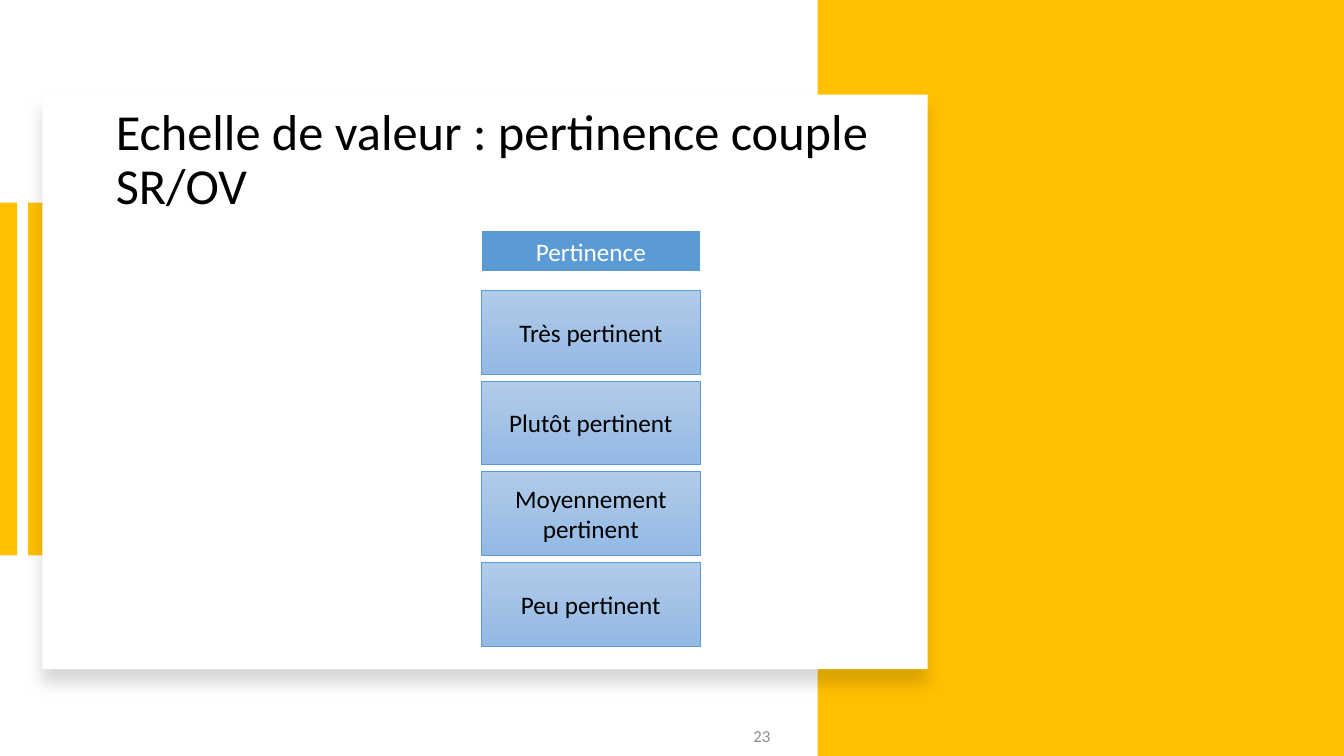
from dataclasses import dataclass

from lxml import etree
from pptx import Presentation
from pptx import util as u
from pptx.dml.color import RGBColor
from pptx.enum import shapes, text
from pptx.oxml import ns

# Content
TITLE = "Echelle de valeur : pertinence couple SR/OV"
HEADING = "Pertinence"
LEVELS = ["Très pertinent", "Plutôt pertinent", "Moyennement pertinent", "Peu pertinent"]
PAGE = "23"


@dataclass(frozen=True)
class Theme:
    font: str = "Calibri"
    title_size: int = 36
    body_size: int = 18
    page_size: int = 12
    accent: str = "FFC000"
    white: str = "FFFFFF"
    black: str = "000000"
    grey: str = "8C8C8C"
    blue: str = "5B9BD5"
    level_top: str = "B1CBE9"
    level_bottom: str = "93B9E4"


THEME = Theme()

# Layout in inches
WIDTH, HEIGHT = 13.33, 7.5
PANEL_W = 5.22
BAR_W, BAR_H, BAR_TOP, BAR_STEP = 0.17, 3.5, 2.01, 0.28
CARD = (0.42, 0.94, 8.78, 5.7)
SCALE_LEFT, SCALE_W = 4.77, 2.18
HEADING_TOP, HEADING_H = 2.28, 0.42
LEVEL_TOP, LEVEL_H, LEVEL_STEP = 2.88, 0.83, 0.9

prs = Presentation()
prs.slide_width, prs.slide_height = u.Inches(WIDTH), u.Inches(HEIGHT)
s = prs.slides.add_slide(prs.slide_layouts[6])


def color(value):
    return RGBColor.from_string(value)


def add_rect(box, fill, line=None, line_width=0):
    """Rectangle with a solid fill, or a vertical gradient from a pair of colours."""
    sp = s.shapes.add_shape(shapes.MSO_SHAPE.RECTANGLE, *map(u.Inches, box))
    sp.shadow.inherit = False
    if isinstance(fill, tuple):
        sp.fill.gradient()
        sp.fill.gradient_angle = 270
        for stop, value, position in zip(sp.fill.gradient_stops, fill, (0, 1)):
            stop.color.rgb = color(value)
            stop.position = position
    else:
        sp.fill.solid()
        sp.fill.fore_color.rgb = color(fill)
    if line:
        sp.line.color.rgb = color(line)
        sp.line.width = u.Pt(line_width)
    else:
        sp.line.fill.background()
    return sp


def write(sp, words, size, ink, align):
    tf = sp.text_frame
    tf.word_wrap = True
    tf.vertical_anchor = text.MSO_ANCHOR.MIDDLE
    tf.text = words
    p = tf.paragraphs[0]
    p.alignment = align
    font = p.runs[0].font
    font.name, font.size, font.color.rgb = THEME.font, u.Pt(size), color(ink)
    return p


def add_text(box, *style):
    return write(s.shapes.add_textbox(*map(u.Inches, box)), *style)


def add_soft_shadow(sp):
    effects = sp._element.spPr.find(ns.qn("a:effectLst"))
    shadow = etree.SubElement(effects, ns.qn("a:outerShdw"), blurRad=str(u.Pt(11)),
                              dist=str(u.Pt(10)), dir="5400000", algn="t", rotWithShape="0")
    tint = etree.SubElement(shadow, ns.qn("a:srgbClr"), val=THEME.black)
    etree.SubElement(tint, ns.qn("a:alpha"), val="15000")


# Background: yellow panel, side bars and white card
add_rect((WIDTH - PANEL_W, 0, PANEL_W, HEIGHT), THEME.accent)
for i in range(2):
    add_rect((i * BAR_STEP, BAR_TOP, BAR_W, BAR_H), THEME.accent)
add_soft_shadow(add_rect(CARD, THEME.white))

# Title and page number
p = add_text((1.05, 0.81, 7.77, 1.58), TITLE, THEME.title_size, THEME.black, text.PP_ALIGN.LEFT)
p.line_spacing = 0.9
p = add_text((6.44, 7.1, 1.3, 0.4), PAGE, THEME.page_size, THEME.grey, text.PP_ALIGN.RIGHT)
p.space_after = u.Pt(6)

# Scale: heading above evenly spaced levels
sp = add_rect((SCALE_LEFT, HEADING_TOP, SCALE_W, HEADING_H), THEME.blue, THEME.white, 1.5)
write(sp, HEADING, THEME.body_size, THEME.white, text.PP_ALIGN.CENTER)
for i, level in enumerate(LEVELS):
    sp = add_rect((SCALE_LEFT, LEVEL_TOP + i * LEVEL_STEP, SCALE_W, LEVEL_H),
                  (THEME.level_top, THEME.level_bottom), THEME.blue, 0.5)
    write(sp, level, THEME.body_size, THEME.black, text.PP_ALIGN.CENTER)

prs.save("out.pptx")
